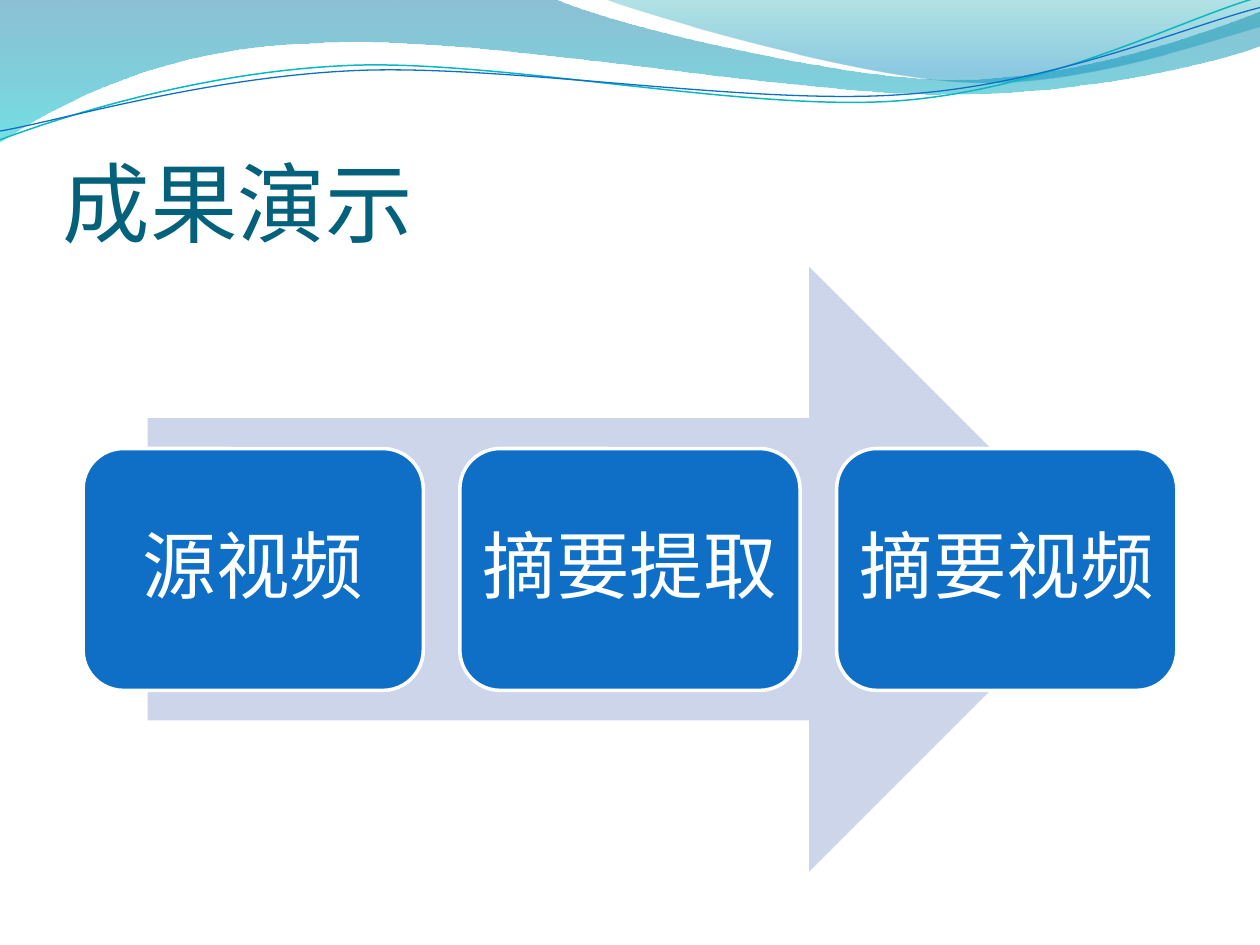
"""Build the results demonstration slide: a three-step process on a wave header."""
from math import cos, radians, sin

from lxml.etree import SubElement
from pptx import Presentation
from pptx.dml.color import RGBColor
from pptx.enum.shapes import MSO_SHAPE
from pptx.enum.text import MSO_ANCHOR, PP_ALIGN
from pptx.oxml.ns import qn
from pptx.util import Pt

WHITE = RGBColor(0xFF, 0xFF, 0xFF)
BLUE = RGBColor(0x0F, 0x6F, 0xC6)
PALE_BLUE = RGBColor(0xCC, 0xD5, 0xEA)
TITLE_TEAL = RGBColor(0x04, 0x61, 0x7B)
LINE_TEAL = RGBColor(0x0A, 0xB8, 0xBF)
DEEP_TEAL = RGBColor(0x00, 0x74, 0xA1)
CYAN = RGBColor(0x00, 0xC6, 0xCF)
SEA_GREEN = RGBColor(0x00, 0xA1, 0xA9)
SEA_BLUE = RGBColor(0x00, 0x8B, 0xBF)

TITLE = "成果演示"
STEPS = ["源视频", "摘要提取", "摘要视频"]

BANDS = [
    ((-0.7, -0.7, 721.4, 82.1),
     [(0, 0), (316.8, -0.7),
      (342.7, 12.2, 478.1, 45.4, 545.8, 45.4),
      (614.2, 45.4, 689.8, 18.7, 720, 6.5), (720.7, 25.9),
      (707.8, 31.7, 626.4, 54.7, 537.1, 54),
      (447.8, 54, 275, 20.2, 185, 24.5),
      (92.9, 25.9, 33.1, 59.8, -0.7, 81.4), (0, 0)],
     [(0, DEEP_TEAL, 45), (1, CYAN, 55)]),
    ((344.9, -0.7, 375.1, 50.4),
     [(344.9, -0.7),
      (366.5, 7.9, 491, 44.6, 553.7, 46.8),
      (616.3, 49.7, 691.9, 23, 720, 15.1), (720, 0), (344.9, -0.7)],
     [(0, SEA_GREEN, 30), (0.8, SEA_BLUE, 45)]),
]
STRANDS = [
    ((-1.4, 15.8, 721.4, 51.1),
     [(0, 79.9), (34.6, 67, 113.8, 41, 199.4, 37.4),
      (284.4, 33.8, 427, 64.1, 513.4, 57.6),
      (599.8, 51.1, 675.4, 10.8, 718.6, -1.4)], LINE_TEAL, 0.85),
    ((-1.4, 21.6, 722.2, 41.8),
     [(0, 74.9), (33.8, 69.1, 118.1, 43.9, 203.8, 40.3),
      (290.2, 36.7, 429.8, 60.5, 516.2, 54),
      (601.9, 48.2, 677.5, 15.1, 720, 4.3)], BLUE, 0.75),
]
STRAND_TILT = -2.7
STEP_LEFT, STEP_TOP, STEP_WIDTH, STEP_HEIGHT, STEP_GAP = 47.5, 256.3, 194.4, 138.2, 20.9

deck = Presentation()
deck.slide_width, deck.slide_height = Pt(720), Pt(540)
slide = deck.slides.add_slide(deck.slide_layouts[6])


def add_outline(box, segments, closed, tilt=0):
    left, top, width, height = box
    right, bottom = left + width, top + height
    builder = slide.shapes.build_freeform(Pt(left), Pt(top))
    builder.add_line_segments([(Pt(right), Pt(top)), (Pt(right), Pt(bottom)),
                               (Pt(left), Pt(bottom))], close=closed)
    outline = builder.convert_to_shape()
    outline.shadow.inherit = False
    outline.rotation = tilt % 360
    trail = next(outline.element.iter(qn("a:path")))
    for child in list(trail):
        trail.remove(child)
    turn = radians(-tilt)
    for index, segment in enumerate(segments):
        kind = "moveTo" if index == 0 else "lnTo" if len(segment) == 2 else "cubicBezTo"
        command = SubElement(trail, qn(f"a:{kind}"))
        for x, y in zip(segment[::2], segment[1::2]):
            dx, dy = x - left - width / 2, y - top - height / 2
            point = SubElement(command, qn("a:pt"))
            point.set("x", str(Pt(width / 2 + dx * cos(turn) - dy * sin(turn))))
            point.set("y", str(Pt(height / 2 + dx * sin(turn) + dy * cos(turn))))
    if closed:
        SubElement(trail, qn("a:close"))
    return outline


def add_preset(preset, box, color):
    shape = slide.shapes.add_shape(preset, *map(Pt, box))
    shape.shadow.inherit = False
    shape.fill.solid()
    shape.fill.fore_color.rgb = color
    shape.line.fill.background()
    return shape


def write(shape, text, *, size, font, color, align, anchor, insets, spacing=1.0):
    frame = shape.text_frame
    frame.word_wrap = True
    frame.vertical_anchor = anchor
    (frame.margin_left, frame.margin_top,
     frame.margin_right, frame.margin_bottom) = map(Pt, insets)
    paragraph = frame.paragraphs[0]
    paragraph.alignment = align
    paragraph.line_spacing = spacing
    run = paragraph.add_run()
    run.text = text
    run.font.size, run.font.name = Pt(size), font
    run.font.color.rgb = color


for box, segments, stops in BANDS:
    band = add_outline(box, segments, True)
    band.line.fill.background()
    band.fill.gradient()
    band.fill.gradient_angle = 270
    for stop, (position, color, _) in zip(band.fill.gradient_stops, stops):
        stop.position = position
        stop.color.rgb = color
    for node, (_, _, opacity) in zip(band.element.spPr.iter(qn("a:srgbClr")), stops):
        SubElement(node, qn("a:alpha")).set("val", str(opacity * 1000))

for box, segments, color, width in STRANDS:
    strand = add_outline(box, segments, False, STRAND_TILT)
    strand.fill.background()
    strand.line.color.rgb = color
    strand.line.width = Pt(width)

heading = slide.shapes.add_textbox(Pt(36), Pt(55.4), Pt(648), Pt(90))
write(heading, TITLE, size=50, font="Calibri", color=TITLE_TEAL,
      align=PP_ALIGN.LEFT, anchor=MSO_ANCHOR.BOTTOM, insets=(0, 3.6, 0, 0))

add_preset(MSO_SHAPE.RIGHT_ARROW, (84.4, 152.5, 550.8, 345.6), PALE_BLUE)
for index, step_name in enumerate(STEPS):
    left = STEP_LEFT + index * (STEP_WIDTH + STEP_GAP)
    card = add_preset(MSO_SHAPE.ROUNDED_RECTANGLE,
                      (left, STEP_TOP, STEP_WIDTH, STEP_HEIGHT), BLUE)
    card.line.color.rgb = WHITE
    card.line.width = Pt(2)
    write(card, step_name, size=42, font="Cambria", color=WHITE, align=PP_ALIGN.CENTER,
          anchor=MSO_ANCHOR.MIDDLE, insets=(0, 12.2, 0, 12.2), spacing=0.9)

deck.save("out.pptx")
